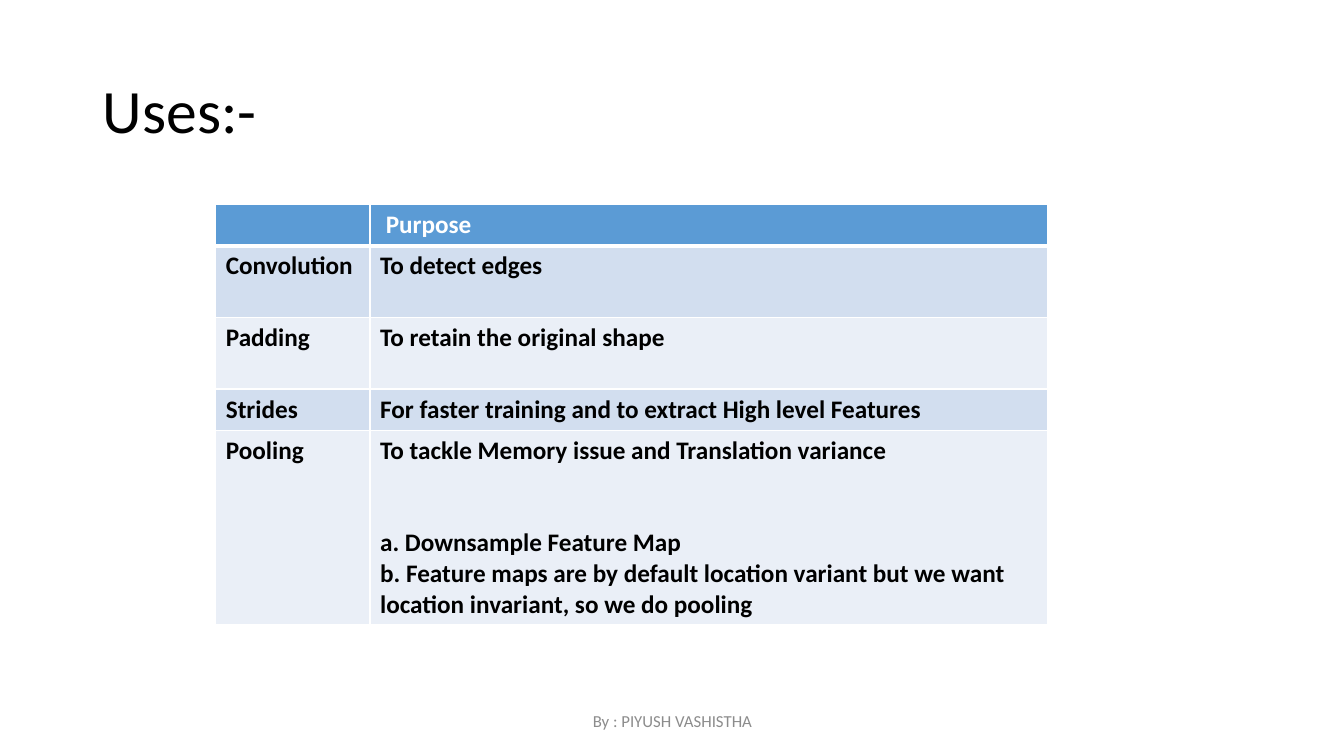
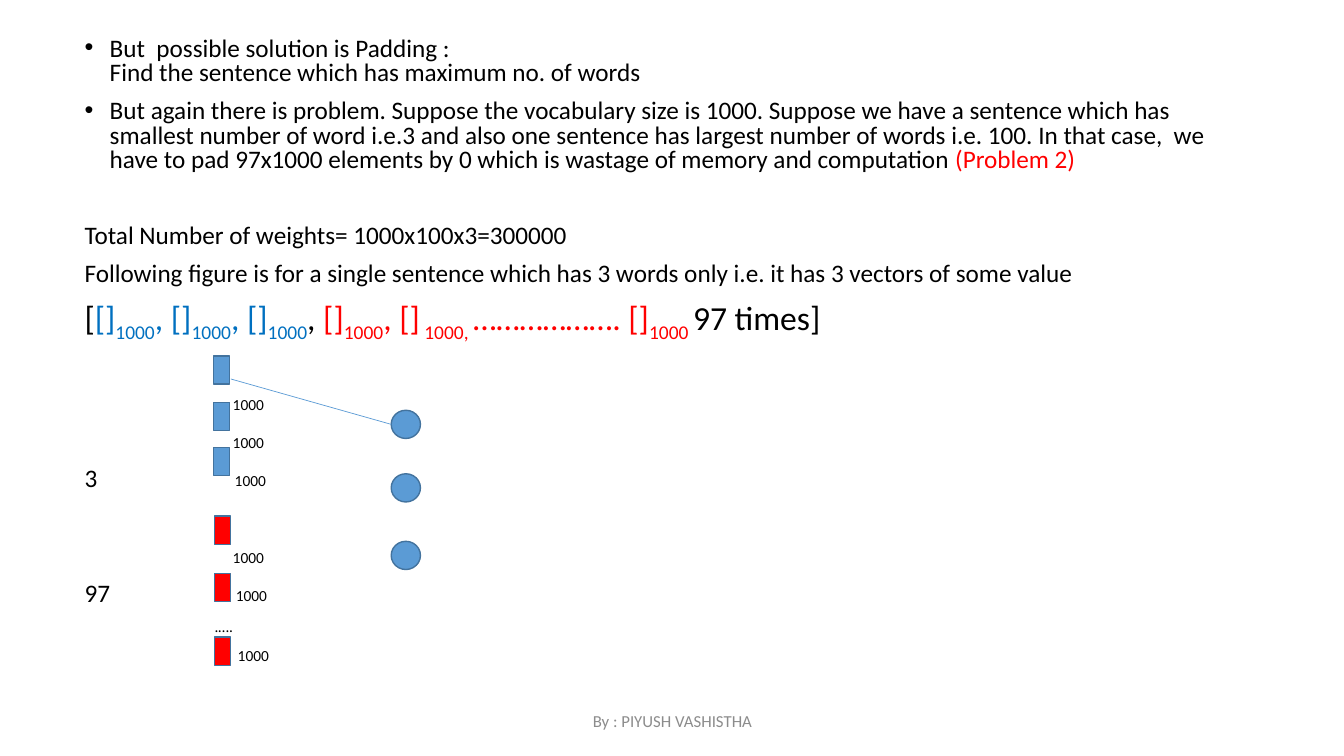
from lxml import etree
from pptx import Presentation
from pptx.dml.color import RGBColor
from pptx.enum.shapes import MSO_CONNECTOR, MSO_SHAPE
from pptx.enum.text import MSO_ANCHOR, PP_ALIGN
from pptx.oxml.ns import qn
from pptx.util import Emu, Pt

# Shared style
SCALE = 9144  # EMU per px, 100 px to the inch
FONT = "Calibri"
BLACK = RGBColor(0x00, 0x00, 0x00)
WHITE = RGBColor(0xFF, 0xFF, 0xFF)
GRAY = RGBColor(0x8C, 0x8C, 0x8C)
RED = RGBColor(0xFF, 0x00, 0x00)
BLUE = RGBColor(0x00, 0x70, 0xC0)
ACCENT = RGBColor(0x5B, 0x9B, 0xD5)
OUTLINE = RGBColor(0x43, 0x73, 0x9E)
BANDS = (RGBColor(0xD2, 0xDE, 0xEF), RGBColor(0xEA, 0xEF, 0xF7))

RECTANGLE = MSO_SHAPE.RECTANGLE
OVAL = MSO_SHAPE.OVAL
STRAIGHT = MSO_CONNECTOR.STRAIGHT
MIDDLE = MSO_ANCHOR.MIDDLE
LEFT, CENTER = PP_ALIGN.LEFT, PP_ALIGN.CENTER
TITLE_ONLY, BLANK = 5, 6
FOOTER = "By : PIYUSH VASHISTHA"


def px(*lengths):
    return [Emu(length * SCALE) for length in lengths]


class Slides:
    def __init__(self):
        self.deck = Presentation()
        self.deck.slide_width, self.deck.slide_height = px(1333, 750)
        self.page = None

    def new_page(self, title=None):
        layout = BLANK if title is None else TITLE_ONLY
        self.page = self.deck.slides.add_slide(self.deck.slide_layouts[layout])
        if title is not None:
            box = self.page.shapes.title
            box.left, box.top, box.width, box.height = px(92, 40, 1150, 145)
            box.text_frame.vertical_anchor = MIDDLE
            para = box.text_frame.paragraphs[0]
            para.alignment = LEFT
            para.line_spacing = 0.9
            self.span(para, title, 44)
        self.text(442, 695, 450, 40, FOOTER, 12, GRAY, CENTER)

    def span(self, para, text, size=18, color=BLACK, bold=False, subscript=False):
        run = para.add_run()
        run.text = text
        run.font.name = FONT
        run.font.size = Pt(size)
        run.font.bold = bold
        run.font.color.rgb = color
        if subscript:
            run._r.get_or_add_rPr().set("baseline", "-25000")

    def frame(self, left, top, width, height):
        box = self.page.shapes.add_textbox(*px(left, top, width, height))
        box.text_frame.word_wrap = True
        return box.text_frame

    def text(self, left, top, width, height, text, size, color=BLACK, align=LEFT):
        frame = self.frame(left, top, width, height)
        frame.vertical_anchor = MIDDLE
        para = frame.paragraphs[0]
        para.alignment = align
        self.span(para, text, size, color)

    def label(self, left, middle, text, size=11):
        self.text(left - 10, middle - 20, 60, 40, text, size)

    def paragraph(self, para, lines, space=0, bullet=False):
        """Each line is a list of span arguments; lines are split by breaks."""
        if bullet:
            properties = para._p.get_or_add_pPr()
            properties.set("marL", str(25 * SCALE))
            properties.set("indent", str(-25 * SCALE))
            etree.SubElement(properties, qn("a:buFont")).set("typeface", "Arial")
            etree.SubElement(properties, qn("a:buChar")).set("char", "•")
        para.line_spacing = 0.8
        para.space_before = Pt(space)
        for index, line in enumerate(lines):
            if index:
                para.add_line_break()
            for arguments in line:
                self.span(para, *arguments)

    def shape(self, kind, left, top, width, height, fill):
        shape = self.page.shapes.add_shape(kind, *px(left, top, width, height))
        shape.shadow.inherit = False
        shape.fill.solid()
        shape.fill.fore_color.rgb = fill
        shape.line.color.rgb = OUTLINE
        shape.line.width = Pt(1)

    def line(self, *ends):
        line = self.page.shapes.add_connector(STRAIGHT, *px(*ends))
        line.line.color.rgb = ACCENT
        line.line.width = Pt(0.5)
        etree.SubElement(line._element.spPr, qn("a:effectLst"))

    def cell(self, cell, paragraphs, fill, color, bottom):
        properties = cell._tc.get_or_add_tcPr()
        for side in "LRTB":
            width = Pt(bottom if side == "B" else 1)
            border = etree.SubElement(properties, qn(f"a:ln{side}"), w=str(width))
            solid = etree.SubElement(border, qn("a:solidFill"))
            etree.SubElement(solid, qn("a:srgbClr"), val=str(WHITE))
        cell.fill.solid()
        cell.fill.fore_color.rgb = fill
        for index, (text, space) in enumerate(paragraphs):
            frame = cell.text_frame
            para = frame.add_paragraph() if index else frame.paragraphs[0]
            para.space_before = Pt(space)
            self.span(para, text, 18, color, True)

    def table(self, left, top, widths, heights, rows):
        area = px(left, top, sum(widths), sum(heights))
        table = self.page.shapes.add_table(len(rows), len(widths), *area).table
        for column, width in zip(table.columns, px(*widths)):
            column.width = width
        for index, (row, height) in enumerate(zip(table.rows, px(*heights))):
            row.height = height
            header = index == 0
            fill = ACCENT if header else BANDS[(index - 1) % 2]
            for cell, paragraphs in zip(row.cells, rows[index]):
                self.cell(cell, paragraphs, fill, WHITE if header else BLACK,
                          3 if header else 1)


def uses_page(slides):
    slides.new_page("Uses:-")
    rows = [
        [[], [(" Purpose", 0)]],
        [[("Convolution", 0)], [("To detect edges", 0)]],
        [[("Padding", 0)], [("To retain the original shape", 0)]],
        [[("Strides", 0)],
         [("For faster training and to extract High level Features", 0)]],
        [[("Pooling", 0)],
         [("To tackle Memory issue and Translation variance", 0),
          ("a. Downsample Feature Map", 44),
          ("b. Feature maps are by default location variant but we want "
           "location invariant, so we do pooling", 0)]],
    ]
    slides.table(214, 203, [153, 672], [41, 71, 71, 41, 193], rows)


def padding_page(slides):
    slides.new_page()

    # Explanation and the padded sentence
    def bracket(text, color):
        return text, 24, color

    def size(text, color):
        return text, 24, color, False, True

    formula = [
        bracket("[", BLACK),
        bracket("[]", BLUE), size("1000", BLUE),
        bracket(", []", BLUE), size("1000", BLUE),
        bracket(", []", BLUE), size("1000", BLUE),
        bracket(", ", BLACK),
        bracket("[]", RED), size("1000", RED),
        bracket(", []", RED), size(" 1000, ", RED),
        bracket("………………. []", RED), size("1000 ", RED),
        bracket("97 times]", BLACK),
    ]
    paragraphs = [
        ([[("But  possible solution is Padding :",)],
          [("Find the sentence which has maximum no. of words",)]], 0, True),
        ([[("But again there is problem. Suppose the vocabulary size is 1000. "
            "Suppose we have a sentence which has smallest number of word i.e.3 "
            "and also one sentence has largest number of words i.e. 100. In that "
            "case,  we have to pad 97x1000 elements by 0 which is wastage of "
            "memory and computation ",),
           ("(Problem 2)", 18, RED)]], 10, True),
        ([[("Total Number of weights= 1000x100x3=300000",)]], 37, False),
        ([[("Following figure is for a single sentence which has 3 words only "
            "i.e. it has 3 vectors of some value",)]], 10, False),
        ([formula], 10, False),
    ]
    frame = slides.frame(74, 33, 1150, 320)
    for index, (lines, space, bullet) in enumerate(paragraphs):
        para = frame.add_paragraph() if index else frame.paragraphs[0]
        slides.paragraph(para, lines, space, bullet)

    # Word vectors, with their counts and sizes
    slides.label(84, 474, "3", 18)
    slides.label(84, 588, "97", 18)
    for left, middle in ((231, 401), (231, 439), (233, 477),
                         (231, 553), (234, 591), (236, 650)):
        slides.label(left, middle, "1000")
    slides.label(213, 621, ".….")
    for left, fill, tops in ((212, ACCENT, (353, 399, 444)),
                             (213, RED, (512, 569, 632))):
        for top in tops:
            slides.shape(RECTANGLE, left, top, 16, 28, fill)

    # Neurons
    for top in (407, 470, 537):
        slides.shape(OVAL, 388, top, 29, 28, ACCENT)
    slides.line(229, 376, 388, 421)


def main():
    slides = Slides()
    uses_page(slides)
    padding_page(slides)
    slides.deck.save("out.pptx")


if __name__ == "__main__":
    main()
